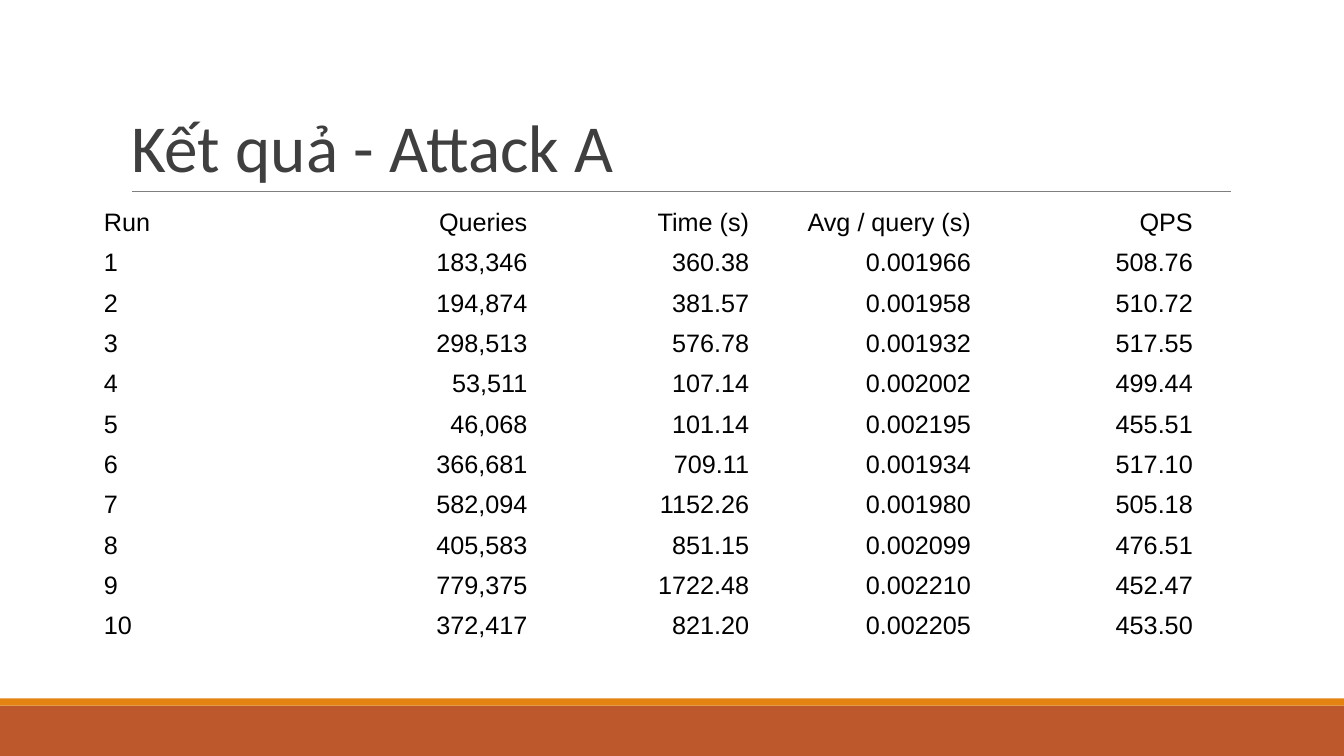
from dataclasses import dataclass

from lxml.etree import SubElement
from pptx import Presentation
from pptx.dml.color import RGBColor
from pptx.enum.shapes import MSO_CONNECTOR as Connector, MSO_SHAPE as Shape
from pptx.enum.text import MSO_ANCHOR as Anchor, MSO_AUTO_SIZE as AutoSize, PP_ALIGN as Align
from pptx.oxml.ns import qn
from pptx.util import Inches, Pt


@dataclass(frozen=True)
class Theme:
    title: RGBColor = RGBColor.from_string("3F3F3F")
    body: RGBColor = RGBColor.from_string("000000")
    rule: RGBColor = RGBColor.from_string("7F7F7F")
    rust: RGBColor = RGBColor.from_string("BD582C")
    orange: RGBColor = RGBColor.from_string("E48312")
    title_font: str = "Calibri"
    body_font: str = "Arial"
    title_size: Pt = Pt(48)
    body_size: Pt = Pt(18)


theme = Theme()


def style_text(para, font, size, color):
    for span in para.runs:
        span.font.name = font
        span.font.size = size
        span.font.color.rgb = color


deck = Presentation()
deck.slide_width, deck.slide_height = Inches(13.33), Inches(7.5)
page = deck.slides.add_slide(deck.slide_layouts[5])

# Footer bands
for top, height, color in [(7, 0.5, theme.rust), (6.93, 0.07, theme.orange)]:
    band = page.shapes.add_shape(
        Shape.RECTANGLE, 0, Inches(top), deck.slide_width, Inches(height))
    band.shadow.inherit = False
    band.fill.solid()
    band.fill.fore_color.rgb = color
    band.line.fill.background()

# Title and the rule below it
title = page.shapes.title
title.left, title.top = Inches(1.2), Inches(0.31)
title.width, title.height = Inches(11), Inches(1.59)
frame = title.text_frame
frame.text = "Kết quả - Attack A"
frame.word_wrap = True
frame.auto_size = AutoSize.NONE
frame.vertical_anchor = Anchor.BOTTOM
heading = frame.paragraphs[0]
heading.alignment = Align.LEFT
heading.line_spacing = 0.85
style_text(heading, theme.title_font, theme.title_size, theme.title)

rule = page.shapes.add_connector(
    Connector.STRAIGHT, Inches(1.31), Inches(1.9), Inches(12.21), Inches(1.9))
rule.line.color.rgb = theme.rule
rule.line.width = Pt(0.75)
SubElement(rule.element.spPr, qn("a:effectLst"))

# Results table
results = [
    ("Run", "Queries", "Time (s)", "Avg / query (s)", "QPS"),
    ("1", "183,346", "360.38", "0.001966", "508.76"),
    ("2", "194,874", "381.57", "0.001958", "510.72"),
    ("3", "298,513", "576.78", "0.001932", "517.55"),
    ("4", "53,511", "107.14", "0.002002", "499.44"),
    ("5", "46,068", "101.14", "0.002195", "455.51"),
    ("6", "366,681", "709.11", "0.001934", "517.10"),
    ("7", "582,094", "1152.26", "0.001980", "505.18"),
    ("8", "405,583", "851.15", "0.002099", "476.51"),
    ("9", "779,375", "1722.48", "0.002210", "452.47"),
    ("10", "372,417", "821.20", "0.002205", "453.50"),
]
row_count, column_count = len(results), len(results[0])
table = page.shapes.add_table(
    row_count, column_count, Inches(0.93), Inches(2.01),
    Inches(2.2) * column_count, Inches(0.4) * row_count).table
table.first_row = False
table.horz_banding = False

for row, values in enumerate(results):
    for column, value in enumerate(values):
        cell = table.cell(row, column)
        cell.fill.background()
        cell.vertical_anchor = Anchor.MIDDLE
        cell.text_frame.text = value
        para = cell.text_frame.paragraphs[0]
        para.alignment = Align.RIGHT if column else Align.LEFT
        style_text(para, theme.body_font, theme.body_size, theme.body)

deck.save("out.pptx")
